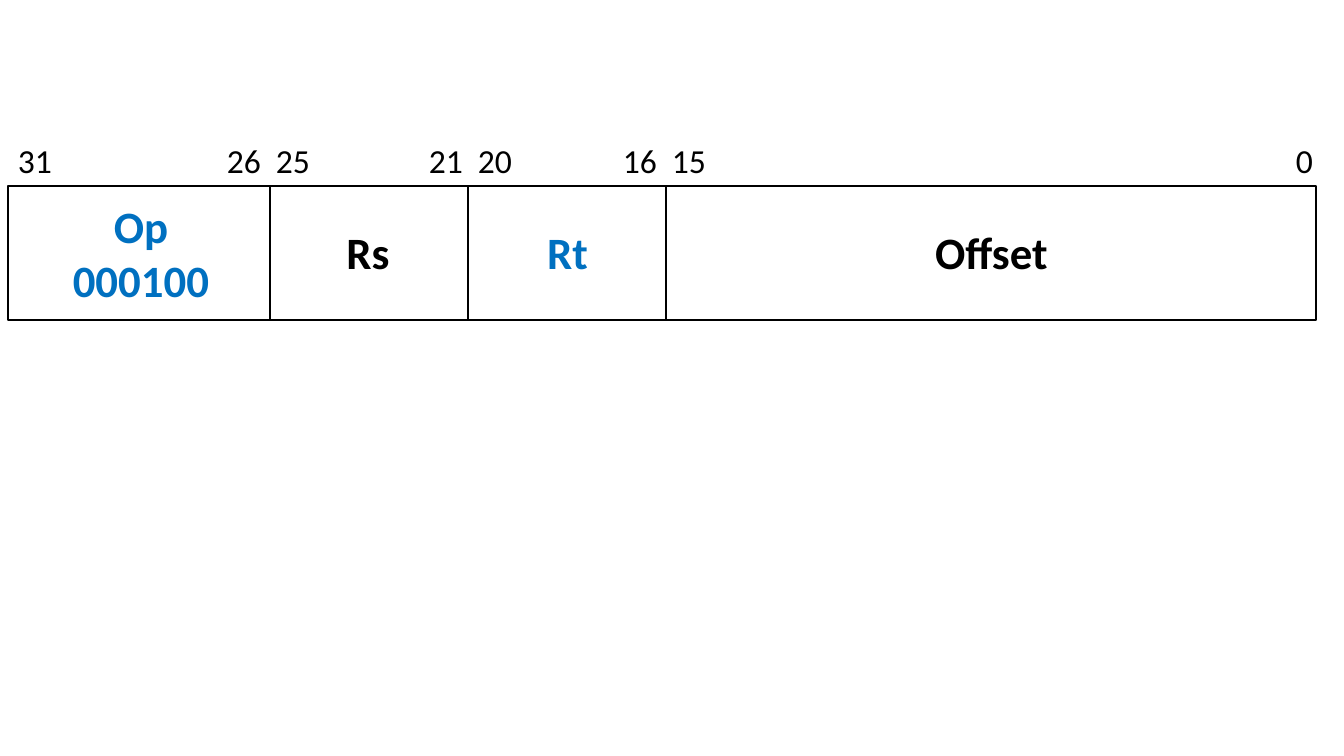
from lxml.etree import SubElement
from pptx import Presentation
from pptx.dml.color import RGBColor
from pptx.enum.shapes import MSO_SHAPE as Preset
from pptx.enum.text import MSO_AUTO_SIZE as AutoSize, PP_ALIGN as Align
from pptx.oxml.ns import qn
from pptx.util import Pt

BLACK = "000000"
BLUE = "0070C0"


def px(length):
    return round(length * 914400 / 100.8)


def color(value):
    return RGBColor.from_string(value)


def apply(target, values):
    for name, value in values.items():
        setattr(target, name, value)


class InstructionSlide:
    font_name = "Calibri"

    def __init__(self, presentation):
        self.slide = presentation.slides.add_slide(presentation.slide_layouts[6])

    def field(self, left, top, width, height):
        shape = self.slide.shapes.add_shape(Preset.RECTANGLE, *map(px, (left, top, width, height)))
        shape.shadow.inherit = False
        shape.fill.background()
        shape.line.color.rgb = color(BLACK)
        shape.line.width = Pt(1)

    def text(self, box, lines, size, ink=BLACK, bold=False, align=Align.CENTER, wrap=False, tabs=()):
        frame = self.slide.shapes.add_textbox(*map(px, box)).text_frame
        apply(frame, {"word_wrap": wrap, "auto_size": AutoSize.SHAPE_TO_FIT_TEXT})
        for index, line in enumerate(lines):
            paragraph = frame.add_paragraph() if index else frame.paragraphs[0]
            paragraph.alignment = align
            if tabs:
                self.tab_stops(paragraph, tabs)
            run = paragraph.add_run()
            run.text = line
            apply(run.font, {"name": self.font_name, "size": Pt(size), "bold": bold})
            run.font.color.rgb = color(ink)

    def tab_stops(self, paragraph, tabs):
        tab_list = SubElement(paragraph._p.get_or_add_pPr(), qn("a:tabLst"))
        for position, side in tabs:
            SubElement(tab_list, qn("a:tab"), pos=str(px(position)), algn=side)


def main():
    presentation = Presentation()
    apply(presentation, {"slide_width": px(1344), "slide_height": px(756)})
    page = InstructionSlide(presentation)

    edges = [8, 270, 468, 666, 1316]
    for left, right in zip(edges, edges[1:]):
        page.field(left, 186, right - left, 134)

    names = [
        ((62, 194, 158, 119), ["Op", "000100"], BLUE),
        ((336, 220, 64, 65), ["Rs"], BLACK),
        ((537, 220, 61, 65), ["Rt"], BLUE),
        ((924, 220, 135, 65), ["Offset"], BLACK),
    ]
    for box, lines, ink in names:
        page.text(box, lines, 32, ink, bold=True)

    bits = ["31", "26", "25", "21", "20", "16", "15", "0"]
    tabs = [(243, "r"), (258, "l"), (445, "r"), (460, "l"), (639, "r"), (654, "l"), (1295, "r")]
    page.text((8, 135, 1317, 50), ["\t".join(bits)], 24, align=Align.LEFT, wrap=True, tabs=tabs)

    presentation.save("out.pptx")


if __name__ == "__main__":
    main()
